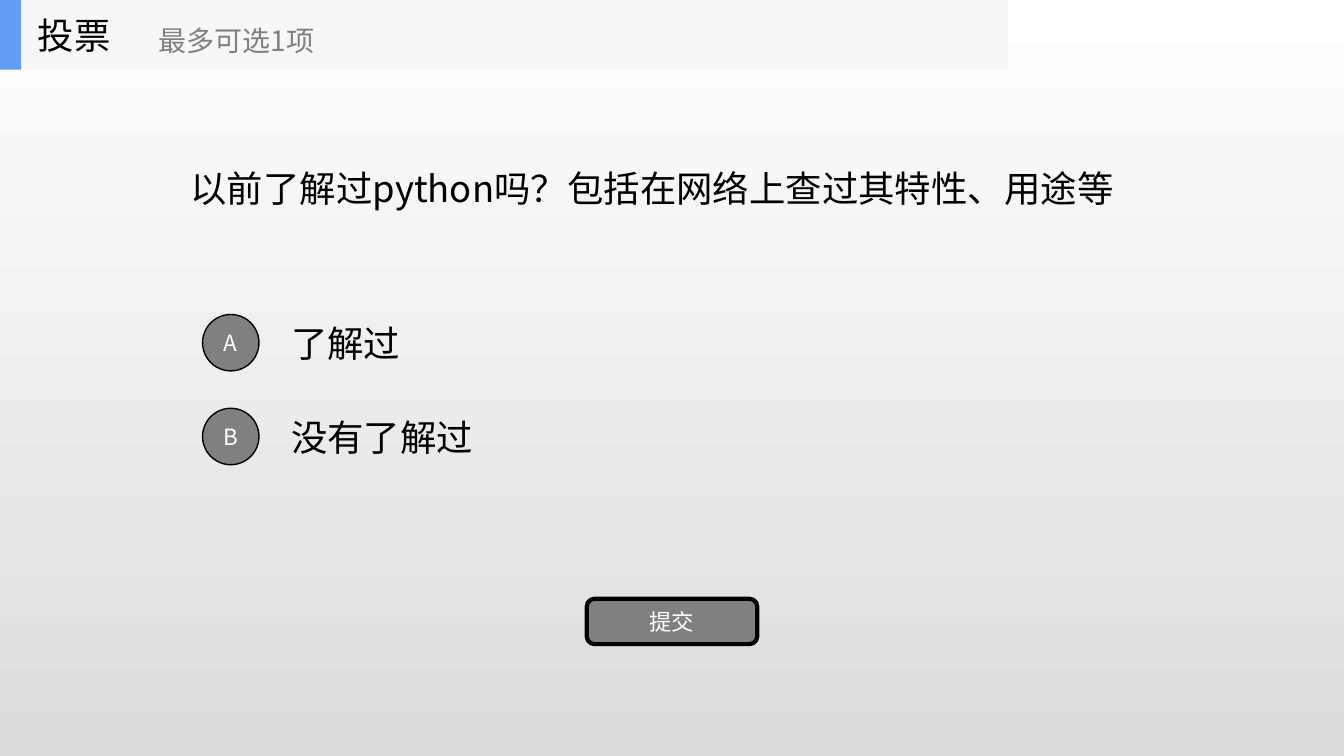
from pptx import Presentation
from pptx.dml.color import RGBColor as RGB
from pptx.enum.shapes import MSO_SHAPE as SHAPE
from pptx.enum.text import MSO_ANCHOR as ANCHOR, MSO_AUTO_SIZE as AUTO, PP_ALIGN as ALIGN
from pptx.oxml.ns import qn
from pptx.util import Pt
from lxml import etree

# Content
HEAD = "投票"
HINT = "最多可选1项"
ASK = "以前了解过python吗？包括在网络上查过其特性、用途等"
PICKS = [("A", "了解过"), ("B", "没有了解过")]
SEND = "提交"

FONT = "Noto Sans CJK SC"
HEX = {"ink": "000000", "gray": "808080", "white": "FFFFFF",
       "fade": "DCDCDC", "band": "F6F7F8", "blue": "639EF4"}

# Layout in points
WIDE, HIGH = 960, 540
BAR = 49.7
TOP, STEP = 219.6, 67
ROW, DOT = 50.4, 40.3
BTN = 121.7


def color(name):
    return RGB.from_string(HEX[name])


def write(shape, text, size=26, ink="ink", align=ALIGN.LEFT):
    frame = shape.text_frame
    frame.word_wrap = True
    frame.auto_size = AUTO.NONE
    frame.vertical_anchor = ANCHOR.MIDDLE
    para = frame.paragraphs[0]
    para.alignment = align
    run = para.add_run()
    run.text = text
    font = run.font
    font.name, font.size = FONT, Pt(size)
    font.color.rgb = color(ink)
    # Chinese glyphs take the East Asian typeface
    east = etree.Element(qn("a:ea"), typeface=FONT)
    run._r.rPr.find(qn("a:latin")).addnext(east)


def label(home, box, text, **form):
    write(home.add_textbox(*map(Pt, box)), text, **form)


def block(home, kind, box, fill, line=0):
    shape = home.add_shape(kind, *map(Pt, box))
    shape.shadow.inherit = False
    shape.fill.solid()
    shape.fill.fore_color.rgb = color(fill)
    if line:
        shape.line.color.rgb = color("ink")
        shape.line.width = Pt(line)
    else:
        shape.line.fill.background()
    return shape


def main():
    deck = Presentation()
    deck.slide_width, deck.slide_height = Pt(WIDE), Pt(HIGH)
    slide = deck.slides.add_slide(deck.slide_layouts[5])
    shapes = slide.shapes

    # Background fading downwards
    back = slide.background.fill
    back.gradient()
    back.gradient_angle = 270
    for stop, name, spot in zip(back.gradient_stops, ("white", "fade"), (0, 1)):
        stop.color.rgb = color(name)
        stop.position = spot

    # Question
    title = shapes.title
    title.left, title.top = Pt(128.9), Pt(BAR)
    title.width, title.height = Pt(795.6), Pt(168.5)
    write(title, ASK)

    # Options
    badge = dict(size=16, ink="white", align=ALIGN.CENTER)
    for i, (key, text) in enumerate(PICKS):
        y = TOP + i * STEP
        label(shapes, (200.9, y, 504, ROW), text)
        box = (144.7, y + (ROW - DOT) / 2, DOT, DOT)
        write(block(shapes, SHAPE.OVAL, box, "gray", line=1), key, **badge)

    # Submit button
    box = ((WIDE - BTN) / 2, 427.7, BTN, 32.4)
    write(block(shapes, SHAPE.ROUNDED_RECTANGLE, box, "gray", line=3), SEND, **badge)

    # Header bar
    bar = shapes.add_group_shape().shapes
    block(bar, SHAPE.RECTANGLE, (0, 0, 720, BAR), "band")
    block(bar, SHAPE.RECTANGLE, (0, 0, 15.1, BAR), "blue")
    label(bar, (20, 0, 149.8, BAR), HEAD)
    label(bar, (106.3, 8.6, 180, 40.3), HINT, size=20, ink="gray")

    deck.save("out.pptx")


if __name__ == "__main__":
    main()
